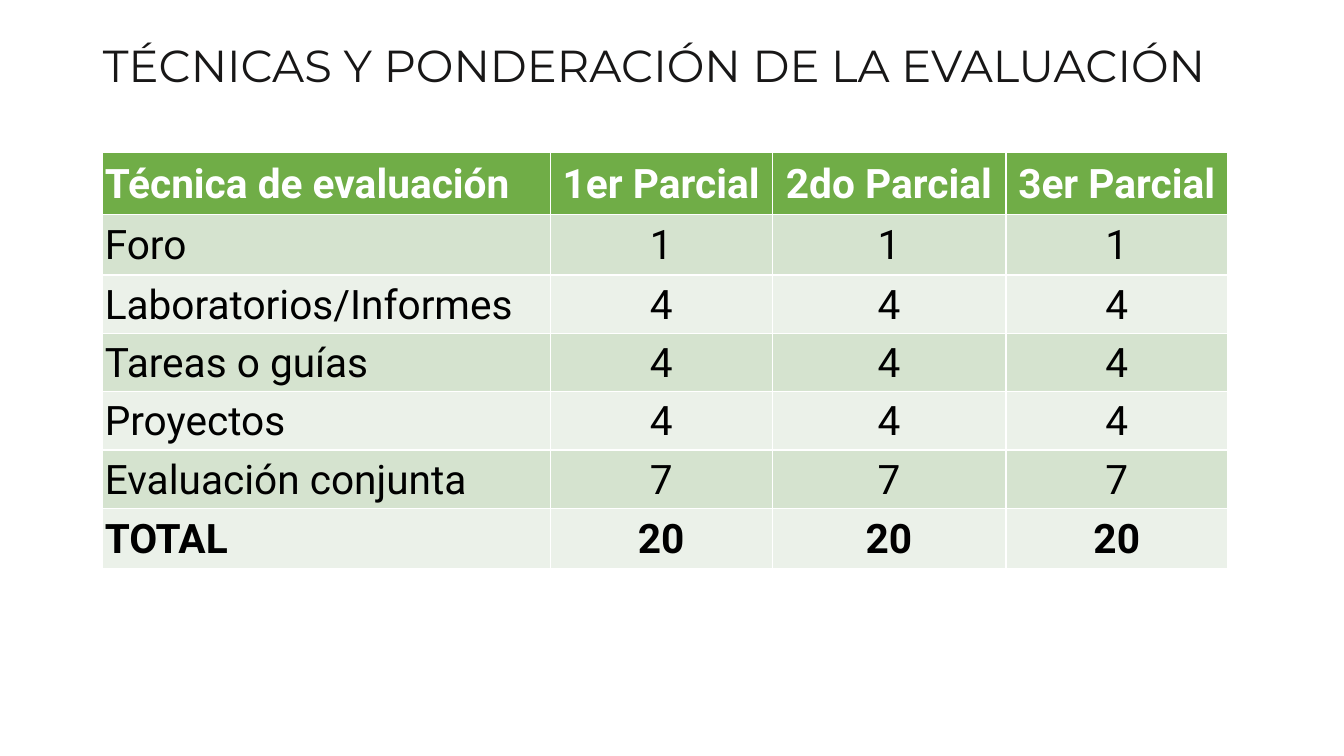
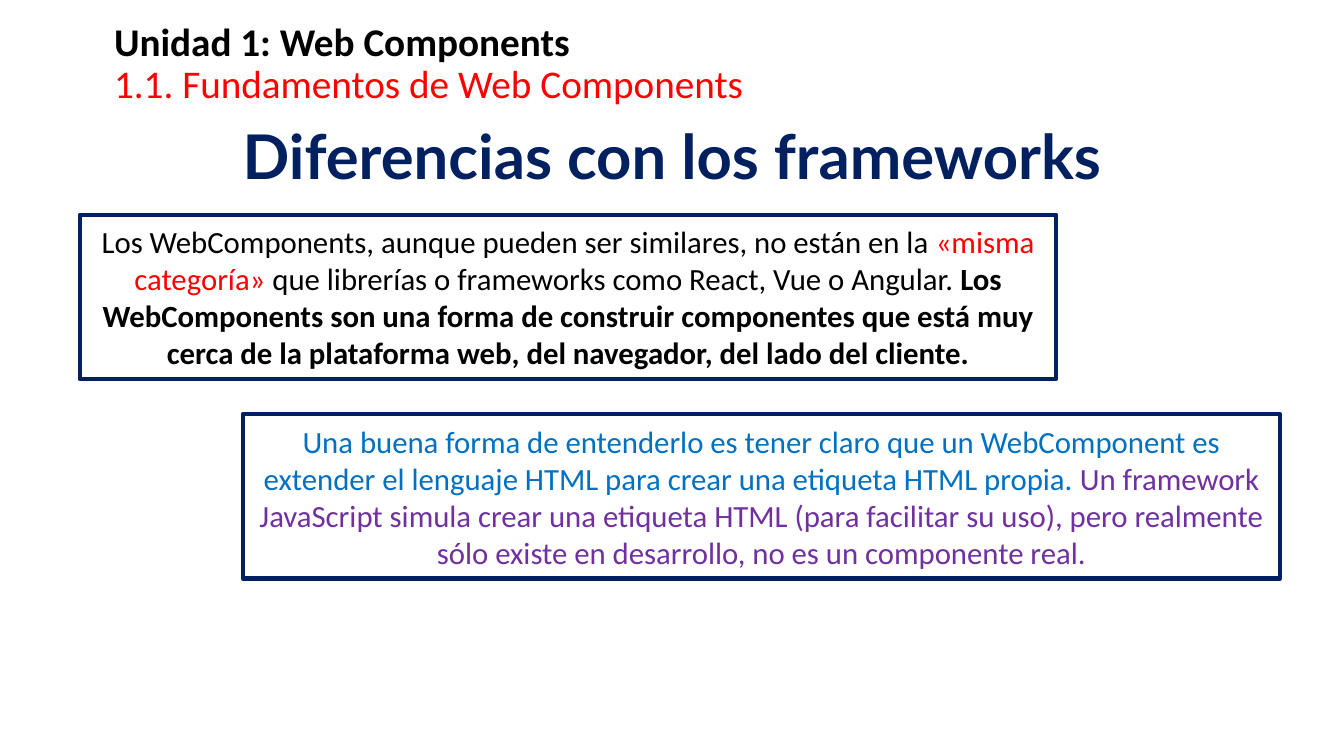
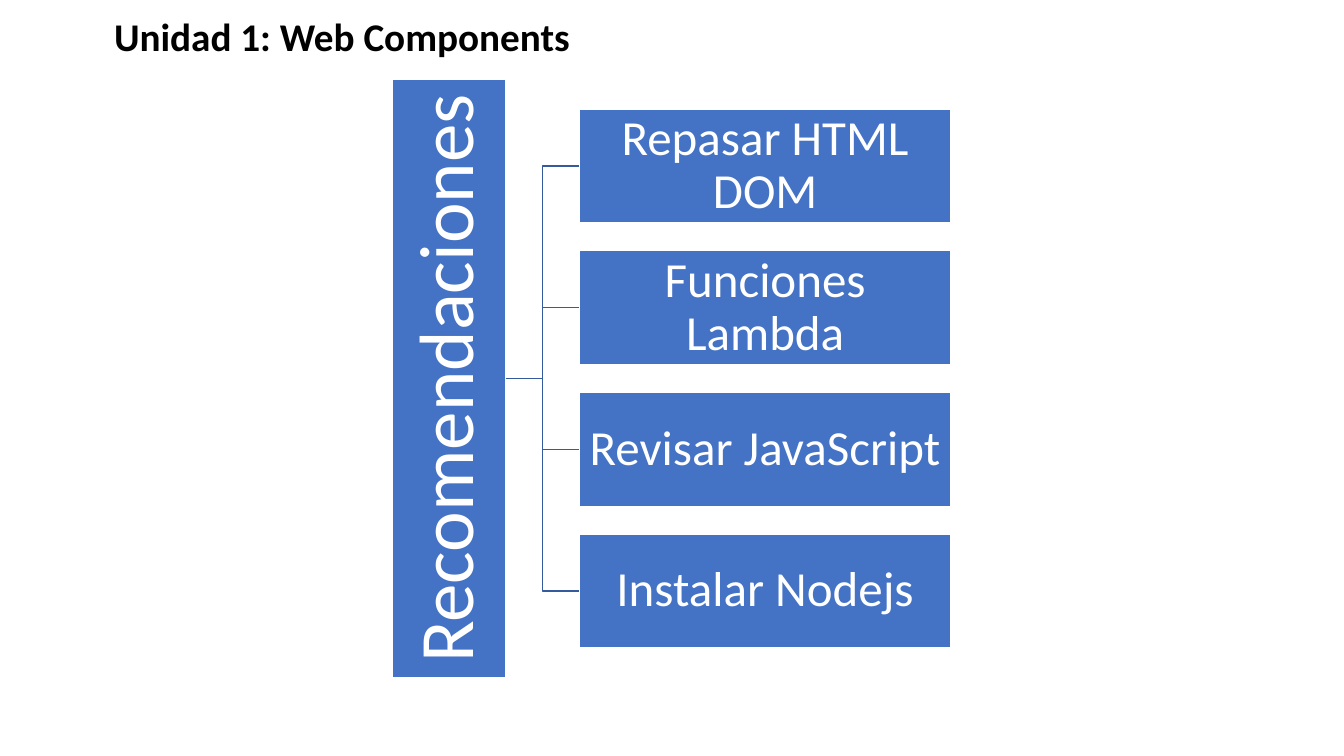
from dataclasses import dataclass
from typing import Any

from lxml import etree
from pptx import Presentation
from pptx.dml.color import RGBColor
from pptx.enum.shapes import MSO_CONNECTOR, MSO_SHAPE
from pptx.enum.text import MSO_ANCHOR, MSO_AUTO_SIZE, PP_ALIGN
from pptx.oxml.ns import qn
from pptx.util import Cm, Pt

RECTANGLE = MSO_SHAPE.RECTANGLE
ELBOW = MSO_CONNECTOR.ELBOW
LEFT, CENTER = PP_ALIGN.LEFT, PP_ALIGN.CENTER
TOP, MIDDLE = MSO_ANCHOR.TOP, MSO_ANCHOR.MIDDLE
NO_AUTOFIT = MSO_AUTO_SIZE.NONE
LEFT_SIDE, RIGHT_SIDE = 1, 3

COLORS = {
    "white": "FFFFFF", "black": "000000", "title": "181717", "red": "FF0000",
    "navy": "002060", "sky": "0070C0", "purple": "7030A0",
    "header": "70AD47", "band_dark": "D5E3CF", "band_light": "EBF1E9",
    "node": "4472C4", "branch": "365B9D",
}
UNIT = "Unidad 1: Web Components"
TIGHT = 0.05  # inset of cells and diagram boxes, in cm


@dataclass(frozen=True)
class Box:
    """Position and size in centimetres."""
    left: float
    top: float
    width: float
    height: float

    def lengths(self) -> tuple[Cm, Cm, Cm, Cm]:
        return Cm(self.left), Cm(self.top), Cm(self.width), Cm(self.height)


@dataclass(frozen=True)
class Span:
    """A piece of text with its own colour and weight."""
    text: str
    color: str = "black"
    bold: bool = False
    break_after: bool = False


@dataclass(frozen=True)
class Callout:
    box: Box
    spans: list[Span]


UNIT_TITLE_BOX = Box(2.62, 0.2, 29.21, 2.87)


def rgb(name: str) -> RGBColor:
    return RGBColor.from_string(COLORS[name])


def write_text(frame: Any, spans: list[Span], *, size: float, font: str = "Calibri",
               align: Any = LEFT, anchor: Any = MIDDLE, spacing: float = 1.0,
               inset: float | None = None) -> None:
    """Fill a text frame or a table cell with one formatted paragraph."""
    frame.vertical_anchor = anchor
    if inset is not None:
        frame.margin_left = frame.margin_right = Cm(inset)
        frame.margin_top = frame.margin_bottom = Cm(inset)
    text_frame = getattr(frame, "text_frame", frame)
    text_frame.word_wrap = True
    paragraph = text_frame.paragraphs[0]
    paragraph.alignment = align
    paragraph.line_spacing = spacing
    for span in spans:
        run = paragraph.add_run()
        run.text = span.text
        run.font.name = font
        run.font.size = Pt(size)
        run.font.bold = span.bold
        run.font.color.rgb = rgb(span.color)
        if span.break_after:
            paragraph.add_line_break()


def add_titled_slide(presentation: Any, box: Box, spans: list[Span], *, size: float = 28,
                     font: str = "Calibri", anchor: Any = MIDDLE) -> Any:
    slide = presentation.slides.add_slide(presentation.slide_layouts[5])
    title = slide.shapes.title
    title.left, title.top, title.width, title.height = box.lengths()
    title.text_frame.auto_size = NO_AUTOFIT
    write_text(title.text_frame, spans, size=size, font=font, anchor=anchor, spacing=0.9)
    return slide


def add_rectangle(slide: Any, box: Box, *, fill: str, line: str, line_width: float) -> Any:
    shape = slide.shapes.add_shape(RECTANGLE, *box.lengths())
    shape.shadow.inherit = False
    shape.fill.solid()
    shape.fill.fore_color.rgb = rgb(fill)
    shape.line.color.rgb = rgb(line)
    shape.line.width = Pt(line_width)
    return shape


def add_node(slide: Any, box: Box, text: str, *, size: float, inset: float) -> Any:
    node = add_rectangle(slide, box, fill="node", line="white", line_width=1)
    write_text(node.text_frame, [Span(text, "white")], size=size, align=CENTER,
               spacing=0.9, inset=inset)
    return node


def add_branch(slide: Any, root: Any, leaf: Any) -> None:
    branch = slide.shapes.add_connector(ELBOW, 0, 0, 0, 0)
    branch.begin_connect(root, RIGHT_SIDE)
    branch.end_connect(leaf, LEFT_SIDE)
    branch.line.color.rgb = rgb("branch")
    branch.line.width = Pt(1)
    etree.SubElement(branch.element.spPr, qn("a:effectLst"))


def build_evaluation(presentation: Any) -> None:
    slide = add_titled_slide(
        presentation, Box(2.34, 0.56, 29.21, 2.31),
        [Span("TÉCNICAS Y PONDERACIÓN DE LA EVALUACIÓN", "title")],
        size=32, font="Montserrat")
    # Each technique weighs the same in the three terms
    weights = [("Foro", 1), ("Laboratorios/Informes", 4), ("Tareas o guías", 4),
               ("Proyectos", 4), ("Evaluación conjunta", 7)]
    weights.append(("TOTAL", sum(weight for _, weight in weights)))
    rows = [["Técnica de evaluación", "1er Parcial", "2do Parcial", "3er Parcial"]]
    rows += [[name] + [str(weight)] * 3 for name, weight in weights]
    widths = [11.28, 5.59, 5.89, 5.59]
    heights = [1.57, 1.52, 1.47, 1.47, 1.47, 1.47, 1.52]

    box = Box(2.59, 3.84, sum(widths), sum(heights))
    table = slide.shapes.add_table(len(rows), len(widths), *box.lengths()).table
    for column, width in zip(table.columns, widths):
        column.width = Cm(width)
    for row, height in zip(table.rows, heights):
        row.height = Cm(height)

    last = len(rows) - 1
    for row_index, row in enumerate(rows):
        is_header = row_index == 0
        band = "band_dark" if row_index % 2 else "band_light"
        for column_index, text in enumerate(row):
            cell = table.cell(row_index, column_index)
            cell.fill.solid()
            cell.fill.fore_color.rgb = rgb("header" if is_header else band)
            span = Span(text, "white" if is_header else "black", row_index in (0, last))
            write_text(cell, [span], size=29, font="Roboto", inset=TIGHT,
                       align=CENTER if column_index else LEFT)
            cell.margin_bottom = 0


def build_differences(presentation: Any) -> None:
    slide = add_titled_slide(presentation, UNIT_TITLE_BOX, [
        Span(UNIT, bold=True, break_after=True),
        Span("1.1. Fundamentos de Web Components", "red")])
    # Heading
    heading = slide.shapes.add_textbox(*Box(2.34, 3.07, 29.21, 2.26).lengths())
    write_text(heading.text_frame, [Span("Diferencias con los frameworks", "navy", True)],
               size=44, font="Lato", align=CENTER, anchor=TOP, spacing=0.9)
    # Framed explanations
    callouts = [
        Callout(Box(2.01, 5.41, 24.61, 4.14), [
            Span("Los WebComponents, aunque pueden ser similares, no están en la "),
            Span("«misma categoría»", "red"),
            Span(" que librerías o frameworks como React, Vue o Angular. "),
            Span("Los WebComponents son una forma de construir componentes que está muy "
                 "cerca de la plataforma web, del navegador, del lado del cliente.",
                 bold=True)]),
        Callout(Box(6.12, 10.44, 26.14, 4.14), [
            Span("Una buena forma de entenderlo es tener claro que un WebComponent es "
                 "extender el lenguaje HTML para crear una etiqueta HTML propia. ", "sky"),
            Span("Un framework JavaScript simula crear una etiqueta HTML (para facilitar "
                 "su uso), pero realmente sólo existe en desarrollo, no es un componente "
                 "real.", "purple")]),
    ]
    for callout in callouts:
        shape = add_rectangle(slide, callout.box, fill="white", line="navy", line_width=3)
        write_text(shape.text_frame, callout.spans, size=22, align=CENTER)


def build_recommendations(presentation: Any) -> None:
    slide = add_titled_slide(presentation, UNIT_TITLE_BOX, [Span(UNIT, bold=True)],
                             anchor=TOP)
    slide.shapes.title.text_frame.margin_top = Cm(0.25)
    # Root with upward text
    root_box = Box(9.88, 2.01, 2.87, 15.06)
    root = add_node(slide, root_box, "Recomendaciones", size=55, inset=0.1)
    root.element.txBody.bodyPr.set("vert", "vert270")
    # Leaves stacked evenly around the middle of the root
    topics = ["Repasar HTML DOM", "Funciones Lambda", "Revisar JavaScript", "Instalar Nodejs"]
    height, gap = 2.87, 0.7
    stack = len(topics) * height + (len(topics) - 1) * gap
    first_top = root_box.top + (root_box.height - stack) / 2
    for index, topic in enumerate(topics):
        box = Box(14.6, first_top + index * (height + gap), 9.37, height)
        leaf = add_node(slide, box, topic, size=35, inset=TIGHT)
        add_branch(slide, root, leaf)


def main() -> None:
    presentation = Presentation()
    presentation.slide_width, presentation.slide_height = Cm(33.87), Cm(19.05)
    build_evaluation(presentation)
    build_differences(presentation)
    build_recommendations(presentation)
    presentation.save("out.pptx")


if __name__ == "__main__":
    main()
